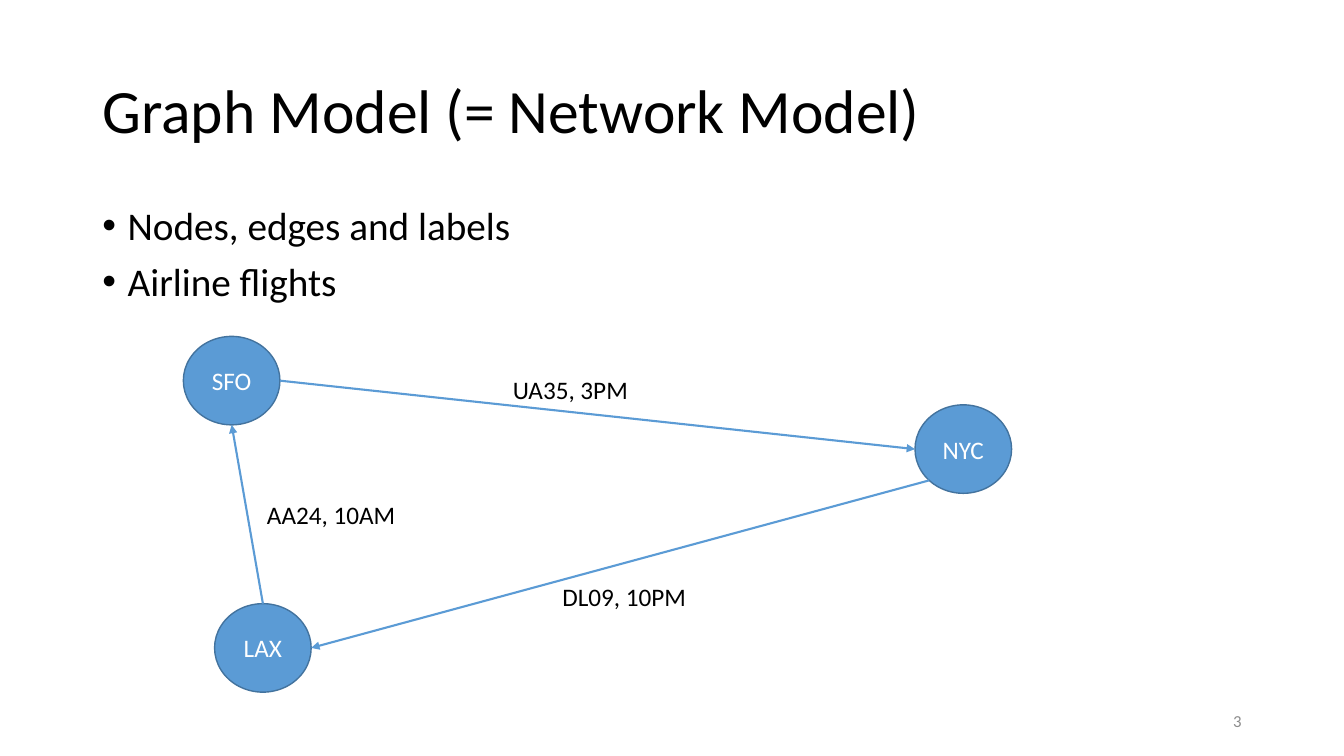
from dataclasses import dataclass
from math import cos, radians, sin
from typing import Any

from lxml.etree import SubElement
from pptx import Presentation
from pptx.dml.color import RGBColor
from pptx.enum.shapes import MSO_CONNECTOR, MSO_SHAPE
from pptx.enum.text import MSO_ANCHOR, MSO_AUTO_SIZE, PP_ALIGN
from pptx.oxml.ns import qn
from pptx.slide import Slide
from pptx.util import Pt

BLACK = RGBColor(0x00, 0x00, 0x00)
WHITE = RGBColor(0xFF, 0xFF, 0xFF)
BLUE = RGBColor(0x5B, 0x9B, 0xD5)
DARK_BLUE = RGBColor(0x43, 0x73, 0x9E)
GREY = RGBColor(0x8C, 0x8C, 0x8C)

NODE_WIDTH = 69
NODE_HEIGHT = 63.2
LABEL_HEIGHT = 29

TITLE_PARA = {"alignment": PP_ALIGN.LEFT, "line_spacing": 0.9}
LIST_PARA = {"line_spacing": 0.9, "space_before": Pt(10)}
CENTRED = {"alignment": PP_ALIGN.CENTER}
RIGHT = {"alignment": PP_ALIGN.RIGHT}
MIDDLE = {"vertical_anchor": MSO_ANCHOR.MIDDLE, "auto_size": MSO_AUTO_SIZE.NONE, "word_wrap": True}
TOP = {**MIDDLE, "vertical_anchor": MSO_ANCHOR.TOP}
FITTED = {"auto_size": MSO_AUTO_SIZE.SHAPE_TO_FIT_TEXT, "word_wrap": False}


@dataclass(frozen=True)
class Airport:
    code: str
    left: float
    top: float

    def rim(self, degrees: float) -> tuple[float, float]:
        angle = radians(degrees)
        return (
            self.left + NODE_WIDTH / 2 * (1 + cos(angle)),
            self.top + NODE_HEIGHT / 2 * (1 + sin(angle)),
        )


@dataclass(frozen=True)
class Flight:
    label: str
    origin: Airport
    origin_angle: float
    target: Airport
    target_angle: float
    label_left: float
    label_top: float
    label_width: float


LAX = Airport("LAX", 153.3, 431.2)
NYC = Airport("NYC", 653.6, 289.2)
SFO = Airport("SFO", 131, 240.3)
AIRPORTS = [LAX, NYC, SFO]
FLIGHTS = [
    Flight("AA24, 10AM", LAX, 270, SFO, 90, 183.6, 352.8, 107.3),
    Flight("UA35, 3PM", SFO, 0, NYC, 180, 359.3, 263.5, 98.6),
    Flight("DL09, 10PM", NYC, 135, LAX, 0, 394.6, 411.8, 103.7),
]


def apply(target: Any, values: dict[str, Any]) -> None:
    for name, value in values.items():
        setattr(target, name, value)


def place(box: Any, left: float, top: float, width: float, height: float) -> None:
    apply(box, {"left": Pt(left), "top": Pt(top), "width": Pt(width), "height": Pt(height)})


def write(
    box: Any, lines: list[str], size: float, color: RGBColor,
    frame_values: dict[str, Any], para_values: dict[str, Any],
) -> None:
    frame = box.text_frame
    frame.text = "\n".join(lines)
    apply(frame, frame_values)
    for para in frame.paragraphs:
        apply(para, para_values)
        for span in para.runs:
            apply(span.font, {"name": "Calibri", "size": Pt(size)})
            span.font.color.rgb = color


def add_bullets(box: Any) -> None:
    for para in box.text_frame.paragraphs:
        properties = para._p.get_or_add_pPr()
        properties.set("marL", str(Pt(18)))
        properties.set("indent", str(Pt(-18)))
        SubElement(properties, qn("a:buFont")).set("typeface", "Arial")
        SubElement(properties, qn("a:buChar")).set("char", "•")


def draw_airport(page: Slide, airport: Airport) -> None:
    node = page.shapes.add_shape(
        MSO_SHAPE.OVAL, Pt(airport.left), Pt(airport.top), Pt(NODE_WIDTH), Pt(NODE_HEIGHT)
    )
    node.shadow.inherit = False
    node.fill.solid()
    node.fill.fore_color.rgb = BLUE
    node.line.color.rgb = DARK_BLUE
    node.line.width = Pt(1)
    write(node, [airport.code], 18, WHITE, MIDDLE, CENTRED)


def draw_flight(page: Slide, flight: Flight) -> None:
    group = page.shapes.add_group_shape()
    ends = flight.origin.rim(flight.origin_angle) + flight.target.rim(flight.target_angle)
    arrow = group.shapes.add_connector(MSO_CONNECTOR.STRAIGHT, *(Pt(end) for end in ends))
    arrow.line.color.rgb = BLUE
    arrow.line.width = Pt(1.5)
    SubElement(arrow.line._get_or_add_ln(), qn("a:tailEnd")).set("type", "triangle")
    SubElement(arrow._element.spPr, qn("a:effectLst"))
    label = group.shapes.add_textbox(
        Pt(flight.label_left), Pt(flight.label_top), Pt(flight.label_width), Pt(LABEL_HEIGHT)
    )
    write(label, [flight.label], 18, BLACK, FITTED, {})


def main() -> None:
    deck = Presentation()
    apply(deck, {"slide_width": Pt(960), "slide_height": Pt(540)})
    page = deck.slides.add_slide(deck.slide_layouts[1])

    title, body = page.placeholders
    place(title, 66, 28.75, 828, 104.4)
    write(title, ["Graph Model (= Network Model)"], 44, BLACK, MIDDLE, TITLE_PARA)
    place(body, 66, 143.75, 828, 342.6)
    write(body, ["Nodes, edges and labels", "Airline flights"], 28, BLACK, TOP, LIST_PARA)
    add_bullets(body)

    for airport in AIRPORTS:
        draw_airport(page, airport)
    for flight in FLIGHTS:
        draw_flight(page, flight)

    page_number = page.shapes.add_textbox(Pt(678), Pt(500.5), Pt(216), Pt(28.75))
    write(page_number, ["3"], 12, GREY, MIDDLE, RIGHT)
    deck.save("out.pptx")


if __name__ == "__main__":
    main()
